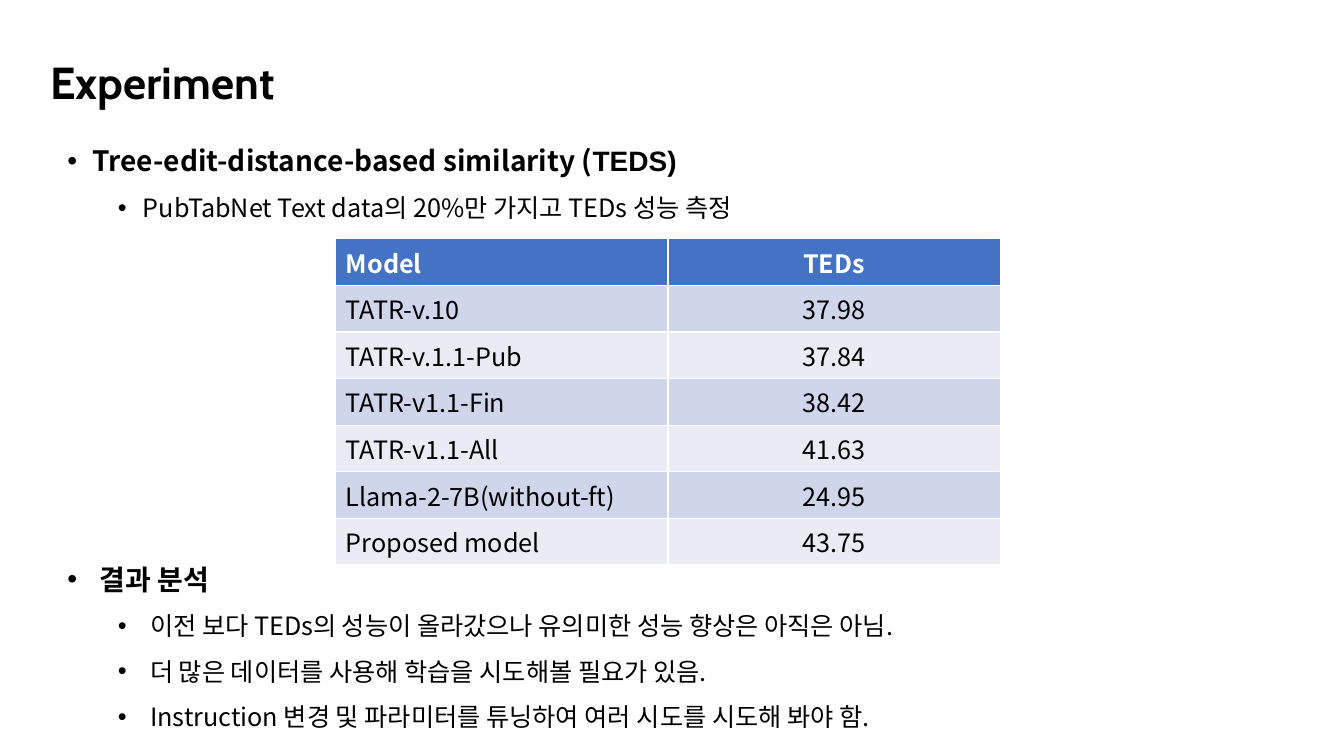
from lxml import etree
from pptx import Presentation
from pptx.dml.color import RGBColor
from pptx.enum.text import MSO_ANCHOR, PP_ALIGN
from pptx.oxml.ns import qn
from pptx.util import Inches, Pt

LEFT, CENTER = PP_ALIGN.LEFT, PP_ALIGN.CENTER
MIDDLE = MSO_ANCHOR.MIDDLE

# Content
TITLE = "Experiment"
BODY_FONT = "Noto Sans CJK KR"
SCORES = [
    ("Model", "TEDs"),
    ("TATR-v.10", "37.98"),
    ("TATR-v.1.1-Pub", "37.84"),
    ("TATR-v1.1-Fin", "38.42"),
    ("TATR-v1.1-All", "41.63"),
    ("Llama-2-7B(without-ft)", "24.95"),
    ("Proposed model", "43.75"),
]
HEADER_FILL, BAND_FILLS = "4472C4", ("E9EBF5", "CFD5EA")

# Each section: box (left, top, width, height), extra text offset,
# heading runs as (text, font), sub-points
SECTIONS = [
    ((0.32, 1.21, 9.06, 1.0), 0,
     [("Tree-edit-distance-based similarity (", BODY_FONT), ("TEDS)", "Arial")],
     ["PubTabNet Text data의 20%만 가지고 TEDs 성능 측정"]),
    ((0.32, 5.36, 11, 1.91), 0.07,
     [("결과 분석", BODY_FONT)],
     ["이전 보다 TEDs의 성능이 올라갔으나 유의미한 성능 향상은 아직은 아님.",
      "더 많은 데이터를 사용해 학습을 시도해볼 필요가 있음.",
      "Instruction 변경 및 파라미터를 튜닝하여 여러 시도를 시도해 봐야 함."]),
]
HANGING = 0.25


def rgb(color):
    return RGBColor.from_string(color)


def style(paragraph, size, bold=False, color="000000", name=BODY_FONT):
    font = paragraph.font
    font.size, font.bold, font.name = Pt(size), bold, name
    font.color.rgb = rgb(color)
    defaults = paragraph._p.pPr.find(qn("a:defRPr"))
    etree.SubElement(defaults, qn("a:ea"), typeface=BODY_FONT)


def add_bullet(paragraph, level, offset):
    properties = paragraph._p.get_or_add_pPr()
    properties.set("marL", str(Inches(0.5 * level + offset)))
    properties.set("indent", str(-Inches(HANGING + offset)))
    etree.SubElement(properties, qn("a:buFont"), typeface="Arial")
    etree.SubElement(properties, qn("a:buChar"), char="•")
    paragraph.level = level
    paragraph.line_spacing = 1.5


def add_section(slide, box, offset, heading_runs, points):
    frame = slide.shapes.add_textbox(*map(Inches, box)).text_frame
    frame.word_wrap = True
    heading = frame.paragraphs[0]
    add_bullet(heading, 1, offset)
    style(heading, 20, bold=True)
    for text, font_name in heading_runs:
        run = heading.add_run()
        run.text = text
        run.font.name = font_name
    for text in points:
        point = frame.add_paragraph()
        point.text = text
        add_bullet(point, 2, offset)
        style(point, 18)


def add_scores(slide):
    table = slide.shapes.add_table(
        len(SCORES), 2, Inches(3.33), Inches(2.37), Inches(6.59), Inches(2.83)).table
    for r, row in enumerate(SCORES):
        header = r == 0
        for c, text in enumerate(row):
            cell = table.cell(r, c)
            cell.fill.solid()
            cell.fill.fore_color.rgb = rgb(HEADER_FILL if header else BAND_FILLS[r % 2])
            cell.text = text
            paragraph = cell.text_frame.paragraphs[0]
            paragraph.alignment = CENTER if c else LEFT
            style(paragraph, 18, header, "FFFFFF" if header else "000000")


def main():
    deck = Presentation()
    deck.slide_width, deck.slide_height = Inches(13.33), Inches(7.5)
    slide = deck.slides.add_slide(deck.slide_layouts[5])

    # Title
    title = slide.shapes.title
    title.left, title.top = Inches(0.4), Inches(0.49)
    title.width, title.height = Inches(11.43), Inches(0.64)
    title.text_frame.text = TITLE
    title.text_frame.vertical_anchor = MIDDLE
    heading = title.text_frame.paragraphs[0]
    heading.alignment = LEFT
    style(heading, 32, bold=True, name="Cabin")

    # Score table and bulleted sections
    add_scores(slide)
    for section in SECTIONS:
        add_section(slide, *section)

    deck.save("out.pptx")


if __name__ == "__main__":
    main()
